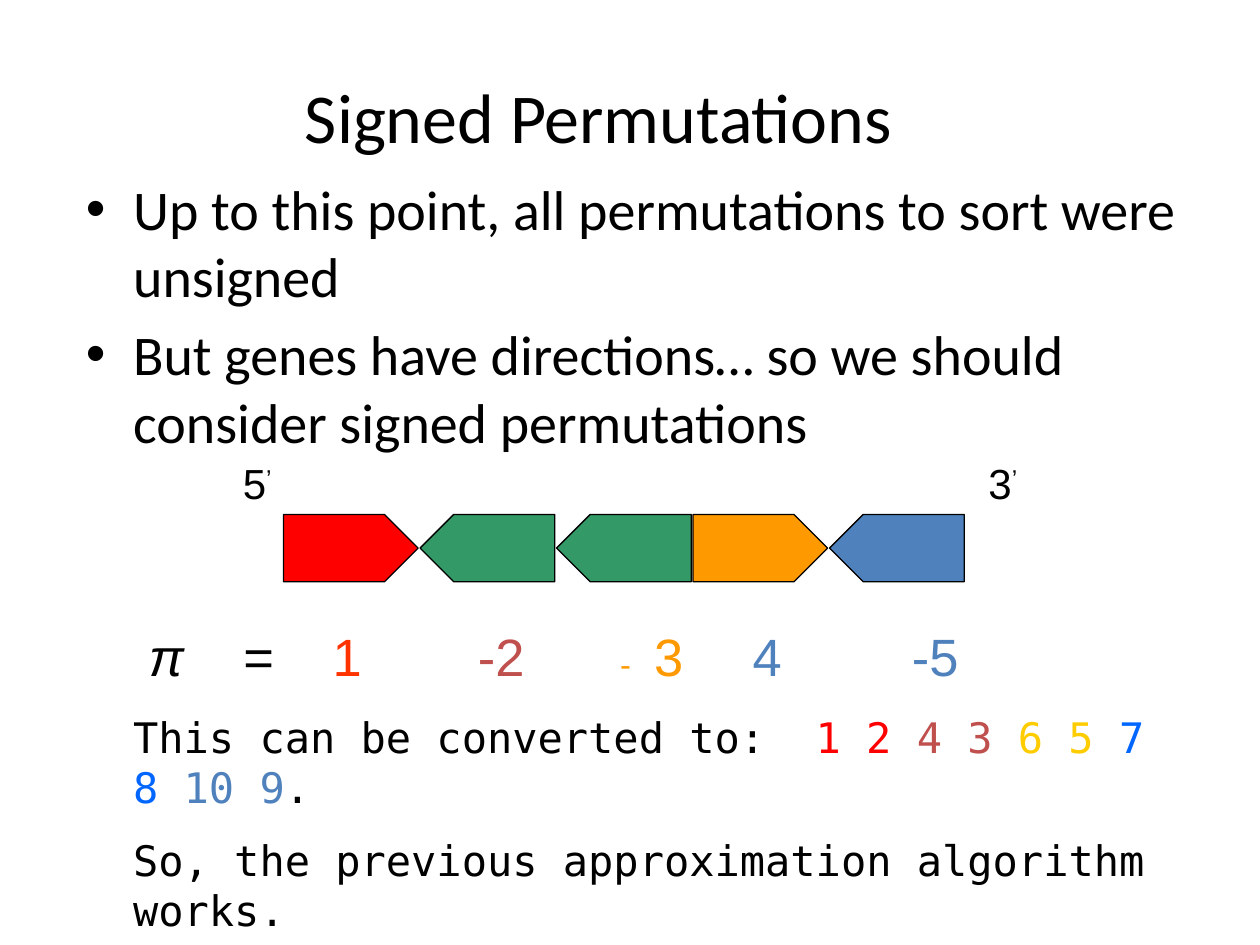
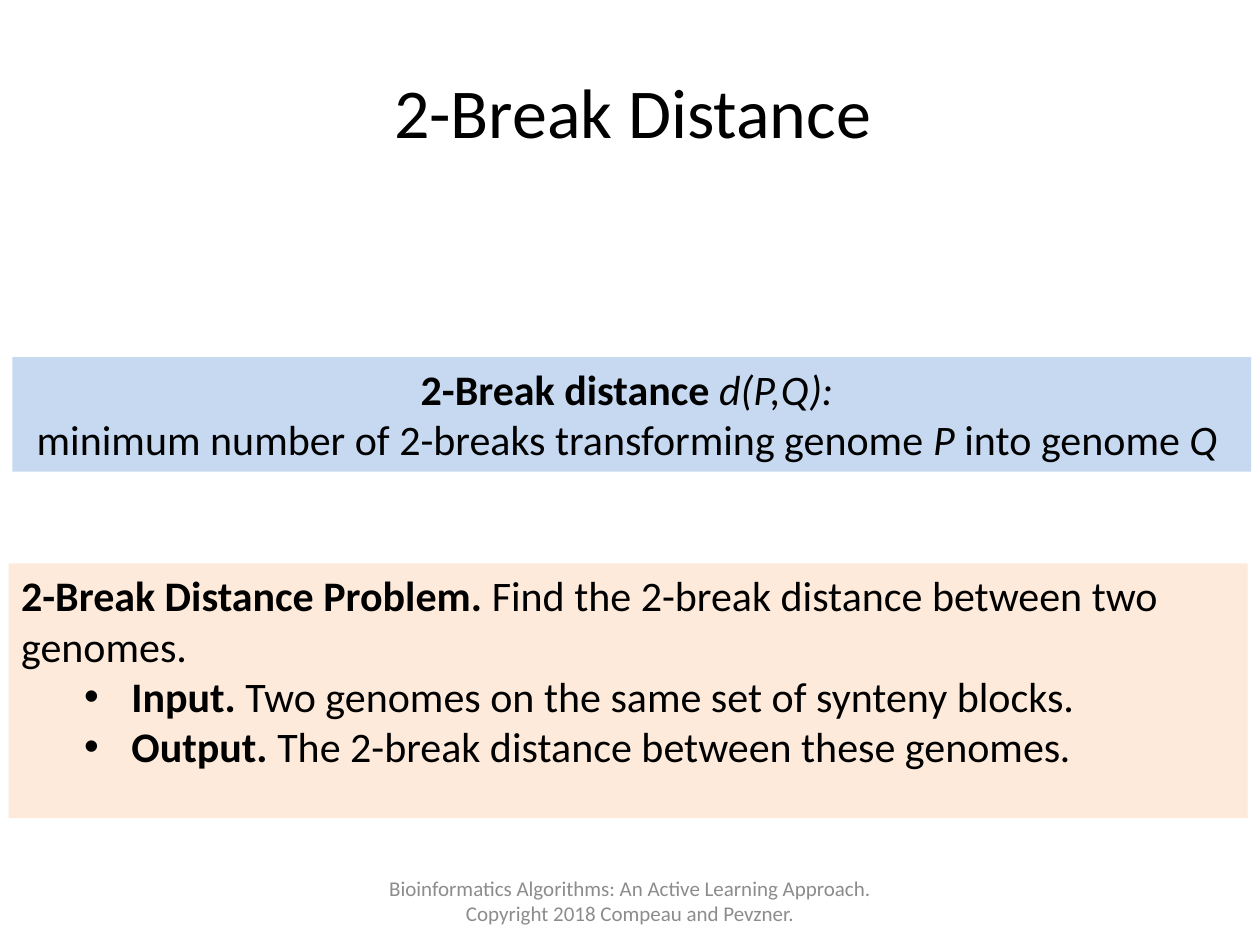
"""Build two slides on signed permutations and the 2-break distance."""

from dataclasses import dataclass
from typing import Optional

import lxml.etree
import pptx
import pptx.dml.color
import pptx.enum.shapes
import pptx.enum.text
import pptx.oxml.ns
import pptx.util

Pt = pptx.util.Pt
LEFT = pptx.enum.text.PP_ALIGN.LEFT
CENTER = pptx.enum.text.PP_ALIGN.CENTER
TOP = pptx.enum.text.MSO_ANCHOR.TOP
MIDDLE = pptx.enum.text.MSO_ANCHOR.MIDDLE
RECTANGLE = pptx.enum.shapes.MSO_SHAPE.RECTANGLE
PENTAGON = pptx.enum.shapes.MSO_SHAPE.PENTAGON

SANS, ARIAL, MONO = "Calibri", "Arial", "DejaVu Sans Mono"
BLACK, GREY = "000000", "8C8C8C"
RED, BRICK, BLUE = "FF0000", "C0504D", "4F81BD"
GREEN, ORANGE = "339966", "FF9900"

GENE_LEFT, GENE_TOP, GENE_STEP = 162, 294, 78
GENE_WIDTH, GENE_HEIGHT = 77, 38.4


@dataclass(frozen=True)
class Span:
    """Text with one format; unset size and font come from its box."""

    text: str
    color: str = BLACK
    bold: bool = False
    italic: bool = False
    raised: bool = False
    size: Optional[float] = None
    font: Optional[str] = None


@dataclass(frozen=True)
class Line:
    """One paragraph, with a bullet where bullet_indent is set."""

    spans: tuple[Span, ...]
    align: int = LEFT
    space_before: float = 0
    bullet_indent: float = 0
    tabs: tuple[float, ...] = ()


@dataclass(frozen=True)
class Box:
    """A text box, or a rectangle where fill is set."""

    left: float
    top: float
    width: float
    height: float
    lines: tuple[Line, ...]
    size: float
    font: str = SANS
    anchor: int = TOP
    fill: Optional[str] = None


@dataclass(frozen=True)
class Gene:
    """A synteny block pointing along or against the strand."""

    color: str
    reversed: bool = False


GENES = (
    Gene(RED),
    Gene(GREEN, True),
    Gene(GREEN, True),
    Gene(ORANGE),
    Gene(BLUE, True),
)

DIRECTION_POINTS = Box(42, 96, 648, 180, (
    Line((Span("Up to this point, all permutations to sort were unsigned"),),
         bullet_indent=27),
    Line((Span("But genes have directions… so we should consider signed permutations"),),
         space_before=6.4, bullet_indent=27),
), 32)

PERMUTATION = Box(78, 353, 546, 43, (
    Line((
        Span("π\t", italic=True),
        Span("=\t"),
        Span("1\t", "FF3300"),
        Span("-2\t", BRICK),
        Span("- ", ORANGE, size=18, font=MONO),
        Span("3\t", ORANGE),
        Span("4\t-5", BLUE),
    ), tabs=(54, 105, 188, 267, 345, 436)),
), 30, ARIAL)

CONVERSION = Box(69, 403, 594, 80, (
    Line((
        Span("This can be converted to:\t"),
        Span("1 2 ", RED),
        Span("4 3 ", BRICK),
        Span("6 5 ", "FFCC00"),
        Span("7 8 ", "0066FF"),
        Span("10 9", BLUE),
        Span("."),
    ), tabs=(390,)),
    Line((Span("So, the previous approximation algorithm works."),), space_before=12.5),
), 24, MONO)

DEFINITION = Box(7, 204, 708, 65.5, (
    Line((Span("2-Break distance ", bold=True), Span("d(P,Q): ", italic=True)), CENTER),
    Line((
        Span("minimum number of 2-breaks transforming genome "),
        Span("P", italic=True),
        Span(" into genome "),
        Span("Q ", italic=True),
    ), CENTER),
), 24, fill="C6D9F1")

PROBLEM = Box(5, 322, 708, 145.5, (
    Line((Span("2-Break Distance Problem.", bold=True),
          Span(" Find the 2-break distance between two genomes."))),
    Line((Span("Input.", bold=True),
          Span(" Two genomes on the same set of synteny blocks.")), bullet_indent=63),
    Line((Span("Output.", bold=True),
          Span(" The 2-break distance between these genomes"),
          Span(".", italic=True)), bullet_indent=63),
), 24, fill="FDEADA")

FOOTER = Box(204, 500.4, 312, 28.8, (
    Line((Span("Bioinformatics Algorithms: An Active Learning Approach. "
               "Copyright 2018 Compeau and Pevzner.", GREY),), CENTER),
), 12, anchor=MIDDLE)


def rgb(color: str) -> pptx.dml.color.RGBColor:
    """Turn a hex string into a colour."""
    return pptx.dml.color.RGBColor.from_string(color)


def title_box(left: float, top: float, width: float, height: float, text: str) -> Box:
    """Describe a slide title."""
    return Box(left, top, width, height, (Line((Span(text),), CENTER),), 40, anchor=MIDDLE)


def strand_label(left: float, number: str) -> Box:
    """Describe the label at one end of the strand."""
    line = Line((Span(number), Span("’", raised=True)), CENTER)
    return Box(left, 258, 54, 36, (line,), 24, ARIAL)


def add_child(parent, tag: str, **attributes: str):
    """Append a drawing element to an XML parent."""
    return lxml.etree.SubElement(parent, pptx.oxml.ns.qn(tag), attributes)


def format_run(run, span: Span, box: Box) -> None:
    """Apply the format of a span to its run."""
    font = run.font
    font.name = span.font or box.font
    font.size = Pt(span.size or box.size)
    font.bold = span.bold
    font.italic = span.italic
    font.color.rgb = rgb(span.color)
    if span.raised:
        run._r.get_or_add_rPr().set("baseline", "30000")


def write_line(paragraph, line: Line, box: Box) -> None:
    """Fill a paragraph with the spans of a line."""
    paragraph.alignment = line.align
    paragraph.space_before = Pt(line.space_before)
    properties = paragraph._p.get_or_add_pPr()
    if line.bullet_indent:
        properties.set("marL", str(Pt(line.bullet_indent)))
        properties.set("indent", str(Pt(-27)))
        add_child(properties, "a:buFont", typeface=ARIAL)
        add_child(properties, "a:buChar", char="•")
    if line.tabs:
        tab_list = add_child(properties, "a:tabLst")
        for position in line.tabs:
            add_child(tab_list, "a:tab", pos=str(Pt(position)), algn="l")
    paragraph.text = line.spans[0].text
    for span in line.spans[1:]:
        paragraph.add_run().text = span.text
    for run, span in zip(paragraph.runs, line.spans):
        format_run(run, span, box)


def draw_box(shapes, box: Box) -> None:
    """Draw a box with its text."""
    bounds = [Pt(length) for length in (box.left, box.top, box.width, box.height)]
    if box.fill:
        shape = shapes.add_shape(RECTANGLE, *bounds)
        shape.shadow.inherit = False
        shape.fill.solid()
        shape.fill.fore_color.rgb = rgb(box.fill)
        shape.line.fill.background()
    else:
        shape = shapes.add_textbox(*bounds)
    text_frame = shape.text_frame
    text_frame.word_wrap = True
    text_frame.vertical_anchor = box.anchor
    for index, line in enumerate(box.lines):
        paragraph = text_frame.add_paragraph() if index else text_frame.paragraphs[0]
        write_line(paragraph, line, box)


def draw_gene(shapes, gene: Gene, index: int) -> None:
    """Draw one gene at its place on the strand."""
    shape = shapes.add_shape(
        PENTAGON, Pt(GENE_LEFT + index * GENE_STEP), Pt(GENE_TOP),
        Pt(GENE_WIDTH), Pt(GENE_HEIGHT))
    shape.shadow.inherit = False
    shape.adjustments[0] = 0.5
    shape.rotation = 180 if gene.reversed else 0
    shape.fill.solid()
    shape.fill.fore_color.rgb = rgb(gene.color)
    shape.line.color.rgb = rgb(BLACK)
    shape.line.width = Pt(0.75)


def draw_strand(slide) -> None:
    """Draw the genes and the labels of both strand ends as a group."""
    shapes = slide.shapes.add_group_shape().shapes
    for index, gene in enumerate(GENES):
        draw_gene(shapes, gene, index)
    draw_box(shapes, strand_label(120, "5"))
    draw_box(shapes, strand_label(546, "3"))


def add_slide(presentation, boxes: tuple[Box, ...]):
    """Add a blank slide holding the given boxes."""
    slide = presentation.slides.add_slide(presentation.slide_layouts[6])
    for box in boxes:
        draw_box(slide.shapes, box)
    return slide


def main() -> None:
    """Build and save the presentation."""
    presentation = pptx.Presentation()
    presentation.slide_width = Pt(720)
    presentation.slide_height = Pt(540)
    signed_title = title_box(36, 36, 612, 60, "Signed Permutations")
    signed_slide = add_slide(
        presentation, (signed_title, DIRECTION_POINTS, PERMUTATION, CONVERSION))
    draw_strand(signed_slide)
    distance_title = title_box(54, 18, 615, 90, "2-Break Distance")
    add_slide(presentation, (distance_title, DEFINITION, PROBLEM, FOOTER))
    presentation.save("out.pptx")


if __name__ == "__main__":
    main()
